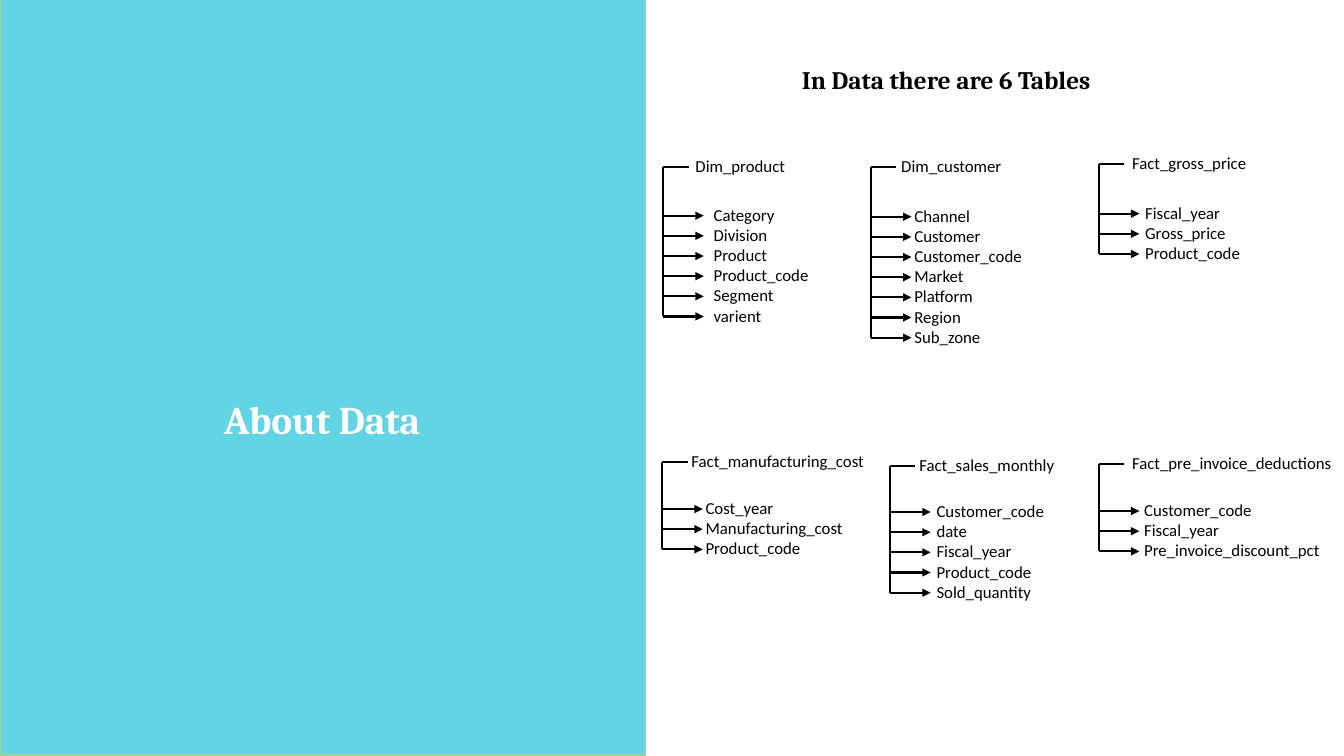
import pptx
import pptx.util
import pptx.dml.color
import pptx.enum.shapes
import pptx.enum.text
import pptx.oxml
import pptx.oxml.ns

PX = 9144
BLACK = "000000"
ROW = 20
MID = 16
SHAPES = pptx.enum.shapes
TEXT = pptx.enum.text

LABEL = {"size": pptx.util.Pt(12), "name": "Calibri", "bold": False}
HEAD = {"size": pptx.util.Pt(18), "name": "Cambria", "bold": True}
TITLE = {"size": pptx.util.Pt(28), "name": "Cambria", "bold": True}
CENTRE = {
    "alignment": TEXT.PP_ALIGN.CENTER,
    "line_spacing": 0.9,
    "space_before": pptx.util.Pt(0),
}

TABLES = [
    (658, 680, 150, 157, "Dim_product", 698, 198, 170,
     ["Category", "Division", "Product", "Product_code", "Segment", "varient"]),
    (864, 884, 150, 180, "Dim_customer", 897, 199, 188,
     ["Channel", "Customer", "Customer_code", "Market", "Platform",
      "Region", "Sub_zone"]),
    (1090, 1113, 147, 197, "Fact_gross_price", 1126, 196, 136,
     ["Fiscal_year", "Gross_price", "Product_code"]),
    (657, 676, 442, 204, "Fact_manufacturing_cost", 690, 489, 166,
     ["Cost_year", "Manufacturing_cost", "Product_code"]),
    (883, 902, 446, 179, "Fact_sales_monthly", 919, 492, 152,
     ["Customer_code", "date", "Fiscal_year", "Product_code",
      "Sold_quantity"]),
    (1090, 1113, 444, 220, "Fact_pre_invoice_deductions", 1125, 491, 203,
     ["Customer_code", "Fiscal_year", "Pre_invoice_discount_pct"]),
]


def px(*sizes):
    return [pptx.util.Emu(size * PX) for size in sizes]


def paint(target, code):
    target.rgb = pptx.dml.color.RGBColor.from_string(code)


def apply(target, values):
    for name, value in values.items():
        setattr(target, name, value)


def add_node(parent, tag, **values):
    node = pptx.oxml.parse_xml(
        f'<a:{tag} {pptx.oxml.ns.nsdecls("a")}/>')
    for name, value in values.items():
        node.set(name, value)
    parent.append(node)


def add_panel(slide):
    kind = SHAPES.MSO_SHAPE.RECTANGLE
    panel = slide.shapes.add_shape(kind, *px(0, -1, 640, 750))
    panel.shadow.inherit = False
    panel.fill.solid()
    paint(panel.fill.fore_color, "63D4E3")
    paint(panel.line.color, "A9D18E")
    panel.line.width = pptx.util.Pt(1)
    slide.shapes._spTree.insert(2, panel._element)


def fill_holder(holder, box, text, font, code):
    apply(holder, dict(zip(("left", "top", "width", "height"), px(*box))))
    frame = holder.text_frame
    apply(frame, {
        "text": text,
        "word_wrap": True,
        "auto_size": TEXT.MSO_AUTO_SIZE.NONE,
        "vertical_anchor": TEXT.MSO_ANCHOR.MIDDLE,
    })
    para = frame.paragraphs[0]
    apply(para, CENTRE)
    props = para._p.get_or_add_pPr()
    props.set("marL", "0")
    props.set("indent", "0")
    add_node(props, "buNone")
    apply(para.font, font)
    paint(para.font.color, code)


def add_text(slide, left, top, width, lines):
    height = ROW * len(lines) + 10
    box = slide.shapes.add_textbox(*px(left, top, width, height))
    frame = box.text_frame
    apply(frame, {
        "text": "\n".join(lines),
        "word_wrap": True,
        "auto_size": TEXT.MSO_AUTO_SIZE.SHAPE_TO_FIT_TEXT,
    })
    for para in frame.paragraphs:
        apply(para.font, LABEL)
        paint(para.font.color, BLACK)


def add_line(slide, start, end, arrow=False):
    kind = SHAPES.MSO_CONNECTOR.STRAIGHT
    line = slide.shapes.add_connector(kind, *px(*start, *end))
    line.line.width = pptx.util.Pt(1.5)
    paint(line.line.color, BLACK)
    if arrow:
        add_node(line.line._get_or_add_ln(), "tailEnd", type="triangle")
    add_node(line._element.spPr, "effectLst")


def add_tree(slide, stem, left, top, width, name, inset, first, span, fields):
    add_text(slide, left, top, width, [name])
    add_text(slide, inset, first, span, fields)
    roof = top + MID
    rows = [first + MID + ROW * step for step in range(len(fields))]
    add_line(slide, (stem, rows[-1]), (stem, roof))
    add_line(slide, (stem, roof), (stem + 25, roof))
    for row in rows:
        add_line(slide, (stem, row), (stem + 40, row), True)


def main():
    deck = pptx.Presentation()
    deck.slide_width, deck.slide_height = px(1333, 750)
    slide = deck.slides.add_slide(deck.slide_layouts[1])
    add_panel(slide)
    fill_holder(slide.shapes.title, (194, 380, 251, 76),
                "About Data", TITLE, "FFFFFF")
    fill_holder(slide.placeholders[1], (764, 54, 349, 53),
                "In Data there are 6 Tables", HEAD, BLACK)
    for table in TABLES:
        add_tree(slide, *table)
    deck.save("out.pptx")


if __name__ == "__main__":
    main()
